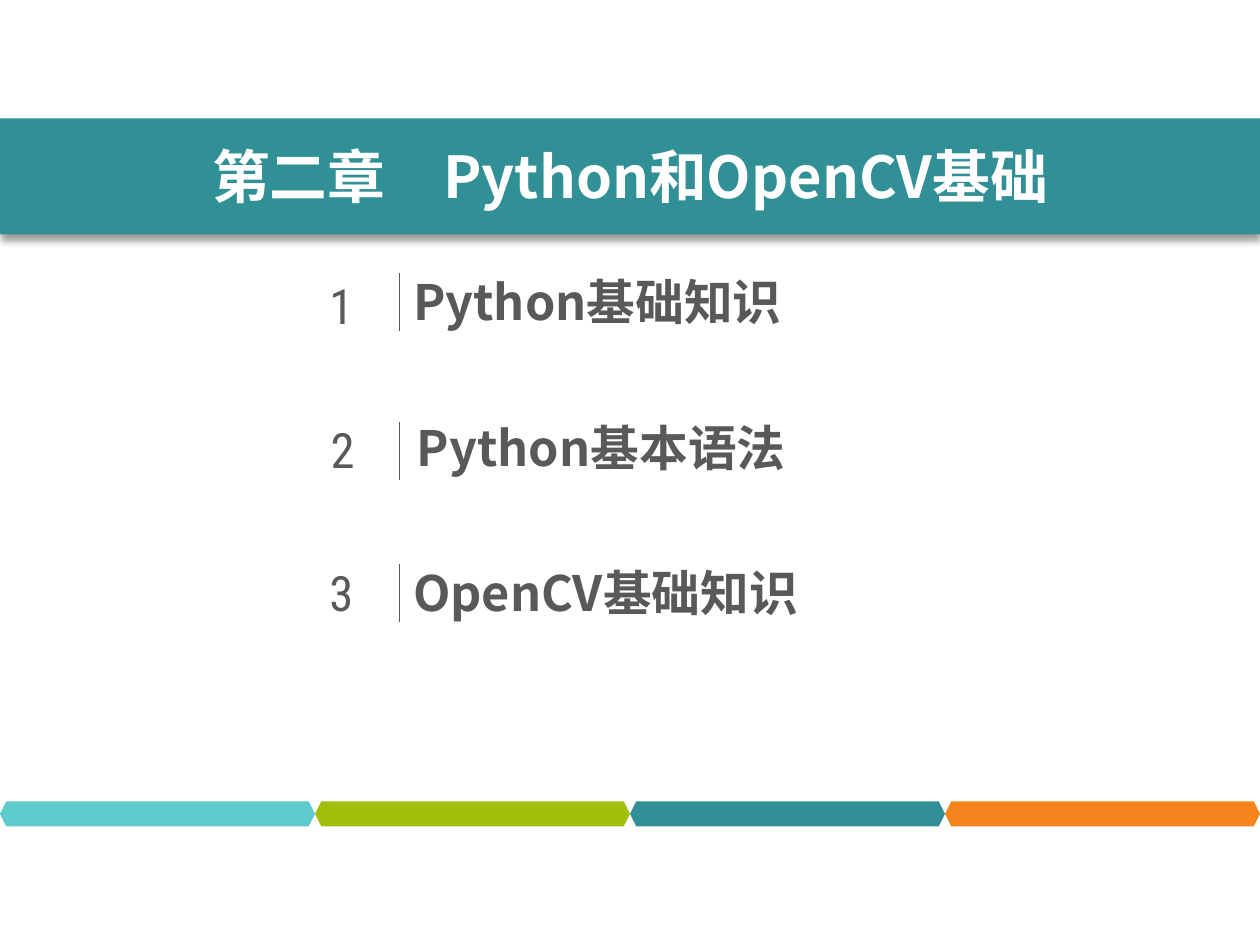
from lxml import etree
from pptx import Presentation
from pptx import util as u
from pptx.dml.color import RGBColor
from pptx.enum import shapes, text
from pptx.oxml import parse_xml
from pptx.oxml.ns import nsdecls, qn

COLORS = {
    "grey": "595959", "white": "FFFFFF", "teal": "319095",
    "aqua": "5FCACB", "green": "A0BF0D", "orange": "F5841C",
}
CJK, NUMERAL = "Noto Sans CJK SC", "Roboto Condensed"
SHADOW = (
    f'<a:effectLst {nsdecls("a")}><a:outerShdw blurRad="{u.Pt(4)}" dist="{u.Pt(3)}" '
    'dir="5400000" algn="t" rotWithShape="0"><a:srgbClr val="000000">'
    '<a:alpha val="40000"/></a:srgbClr></a:outerShdw></a:effectLst>'
)


class ChapterSlide:
    """Draws styled elements on one chapter slide."""

    def __init__(self, prs):
        self.s = prs.slides.add_slide(prs.slide_layouts[6])

    def color(self, name):
        return RGBColor.from_string(COLORS[name])

    def text(self, words, box, size=27.8, face=CJK, color="grey", bold=True, centred=False):
        sp = self.s.shapes.add_textbox(*map(u.Inches, box))
        tf = sp.text_frame
        tf.word_wrap = True
        tf.auto_size = text.MSO_AUTO_SIZE.SHAPE_TO_FIT_TEXT
        p = tf.paragraphs[0]
        p.text = words
        p.alignment = text.PP_ALIGN.CENTER if centred else text.PP_ALIGN.LEFT
        p.font.size, p.font.bold, p.font.name = u.Pt(size), bold, face
        p.font.color.rgb = self.color(color)
        props = p._p.pPr.find(qn("a:defRPr"))
        etree.SubElement(props, qn("a:ea")).set("typeface", face)

    def divider(self, x, top, height):
        line = self.s.shapes.add_connector(
            shapes.MSO_CONNECTOR.STRAIGHT,
            *map(u.Inches, (x, top, x, top + height)))
        line.line.color.rgb = self.color("grey")
        line.line.width = u.Pt(0.75)
        etree.SubElement(line._element.spPr, qn("a:effectLst"))

    def shape(self, kind, box, color, shadow=False):
        sp = self.s.shapes.add_shape(kind, *map(u.Inches, box))
        sp.fill.solid()
        sp.fill.fore_color.rgb = self.color(color)
        sp.line.fill.background()
        if shadow:
            sp._element.spPr.append(parse_xml(SHADOW))
        else:
            sp.shadow.inherit = False


def main():
    prs = Presentation()
    prs.slide_width, prs.slide_height = u.Inches(10), u.Inches(7.5)
    slide = ChapterSlide(prs)

    sections = [
        ("Python基础知识", 2.38, 2.14, 2.17, 3.18, 2.11),
        ("Python基本语法", 2.39, 3.28, 3.35, 3.21, 3.27),
        ("OpenCV基础知识", 2.38, 4.42, 4.48, 3.18, 4.42),
    ]
    for number, (name, num_x, num_y, line_y, name_x, name_y) in enumerate(sections, 1):
        slide.text(str(number), (num_x, num_y, 0.66, 0.57),
                   face=NUMERAL, bold=False, centred=True)
        slide.divider(3.17, line_y, 0.46)
        slide.text(name, (name_x, name_y, 4.58, 0.57))

    slide.shape(shapes.MSO_SHAPE.RECTANGLE, (0, 0.94, 10, 0.92), "teal", shadow=True)
    slide.text("第二章　Python和OpenCV基础", (0.7, 1.07, 8.6, 1.21),
               size=33, color="white", centred=True)

    for i, color in enumerate(("aqua", "green", "teal", "orange")):
        slide.shape(shapes.MSO_SHAPE.HEXAGON, (2.5 * i, 6.36, 2.5, 0.2), color)

    prs.save("out.pptx")


if __name__ == "__main__":
    main()
